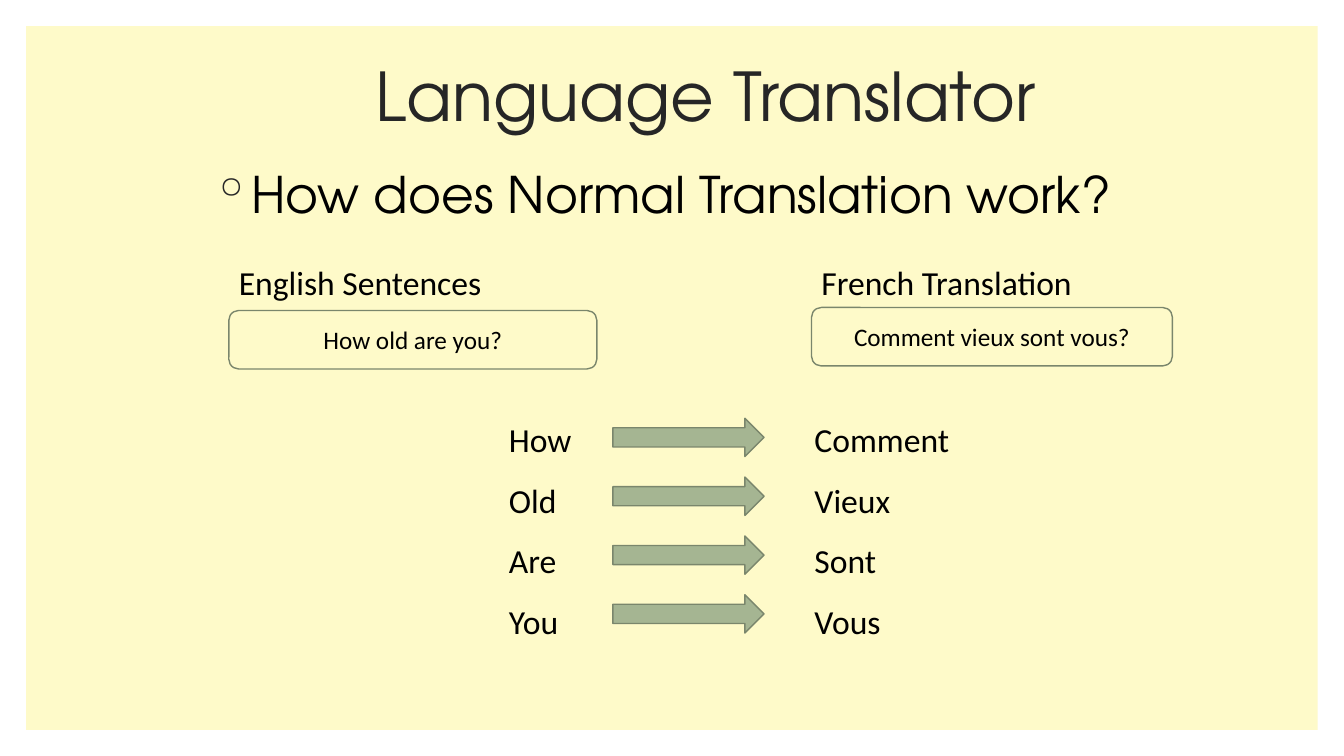
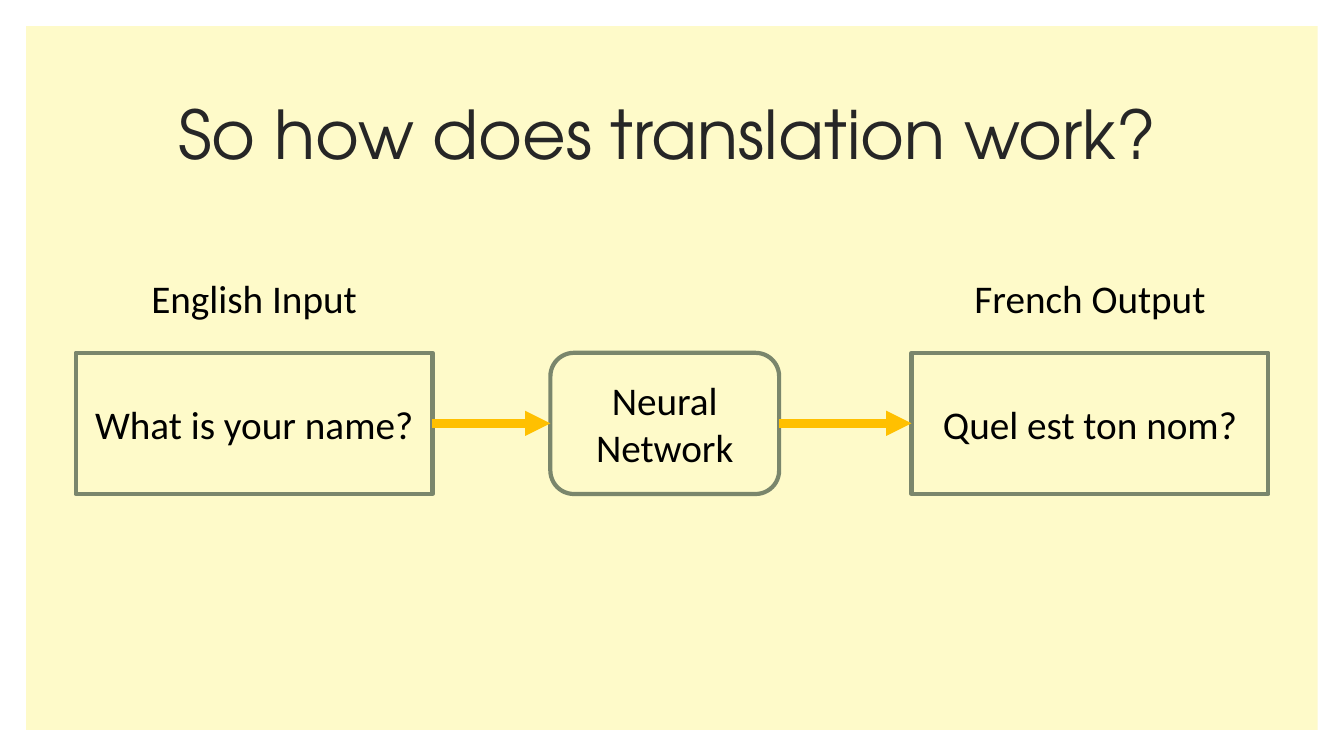
from lxml.etree import SubElement
from pptx import Presentation
from pptx.dml.color import RGBColor
from pptx.enum.shapes import MSO_CONNECTOR as Connector, MSO_SHAPE as Shape
from pptx.enum.text import MSO_ANCHOR as Anchor, PP_ALIGN as Align
from pptx.oxml.ns import qn
from pptx.util import Inches, Pt

COLOURS = {
    "panel": "FEFAC9",
    "title": "262626",
    "text": "000000",
    "sage": "A5B592",
    "outline": "7A866C",
    "flow": "FFC000",
}
FONTS = {"heading": "TeX Gyre Adventor", "body": "Calibri"}


def colour(name):
    return RGBColor.from_string(COLOURS[name])


class Deck:
    """Hold the style and the current slide; areas are percentages of its size."""

    def __init__(self):
        self.presentation = Presentation()
        self.presentation.slide_width = Inches(13.33)
        self.presentation.slide_height = Inches(7.5)
        self.slide = None

    def place(self, left, top, width, height):
        across = self.presentation.slide_width / 100
        down = self.presentation.slide_height / 100
        return [round(left * across), round(top * down), round(width * across), round(height * down)]

    def new_slide(self):
        self.slide = self.presentation.slides.add_slide(self.presentation.slide_layouts[6])
        self.box(Shape.RECTANGLE, (1.95, 3.47, 96.1, 93.07), fill="panel", line=None)

    def fill_text(self, shape, lines, size, font="body", ink="text", anchor=Anchor.TOP,
                  align=Align.LEFT, spacing=None, bullet=None, tab=None):
        frame = shape.text_frame
        frame.word_wrap = True
        frame.vertical_anchor = anchor
        for index, line in enumerate(lines):
            paragraph = frame.add_paragraph() if index else frame.paragraphs[0]
            properties = paragraph._p.get_or_add_pPr()
            if bullet:
                properties.set("marL", str(Inches(0.2)))
                properties.set("indent", str(-Inches(0.2)))
                bullet_colour = SubElement(properties, qn("a:buClr"))
                SubElement(bullet_colour, qn("a:srgbClr"), val=COLOURS["title"])
                SubElement(properties, qn("a:buChar"), char=bullet)
            if tab:
                stops = SubElement(properties, qn("a:tabLst"))
                SubElement(stops, qn("a:tab"), pos=str(Inches(tab)), algn="l")
            for name, value in {"alignment": align, "line_spacing": spacing}.items():
                setattr(paragraph, name, value)
            run = paragraph.add_run()
            run.text = line
            for name, value in {"name": FONTS[font], "size": Pt(size)}.items():
                setattr(run.font, name, value)
            run.font.color.rgb = colour(ink)

    def text(self, area, lines, size, **style):
        self.fill_text(self.slide.shapes.add_textbox(*self.place(*area)), lines, size, **style)

    def title(self, area, words, align=Align.LEFT):
        self.text(area, [words], 48, font="heading", ink="title", anchor=Anchor.MIDDLE,
                  align=align, spacing=0.9)

    def box(self, kind, area, words=None, size=18, fill=None, line="outline", weight=1):
        shape = self.slide.shapes.add_shape(kind, *self.place(*area))
        shape.shadow.inherit = False
        if fill:
            shape.fill.solid()
            shape.fill.fore_color.rgb = colour(fill)
        else:
            shape.fill.background()
        if line:
            shape.line.color.rgb = colour(line)
            shape.line.width = Pt(weight)
        else:
            shape.line.fill.background()
        if words:
            self.fill_text(shape, [words], size, anchor=Anchor.MIDDLE, align=Align.CENTER)
        return shape

    def arrow(self, source, target):
        connector = self.slide.shapes.add_connector(Connector.STRAIGHT, 0, 0, 0, 0)
        connector.begin_connect(source, 3)
        connector.end_connect(target, 1)
        connector.line.color.rgb = colour("flow")
        connector.line.width = Pt(6)
        properties = connector._element.spPr
        SubElement(properties.get_or_add_ln(), qn("a:tailEnd"), type="triangle")
        SubElement(properties, qn("a:effectLst"))


def word_by_word(deck):
    deck.new_slide()
    deck.title((15, 5.07, 75, 16.13), "Language Translator", Align.CENTER)
    deck.text((15, 20.93, 75, 10.53), ["How does Normal Translation work?"], 36,
              font="heading", bullet="◦")
    for left, top, width, label, sentence in (
        (17.03, 41.07, 27.38, "English Sentences", "How old are you?"),
        (60.38, 40.67, 26.85, "French Translation", "Comment vieux sont vous?"),
    ):
        deck.box(Shape.ROUNDED_RECTANGLE, (left, top, width, 7.73), sentence)
        deck.text((left, 34, 27.38, 6.67), [label], 24)
    pairs = [("How", "Comment"), ("Old", "Vieux"), ("Are", "Sont"), ("You", "Vous")]
    deck.text((37.13, 52.13, 42.83, 32.8), ["\t".join(pair) for pair in pairs], 24,
              spacing=1.5, tab=3.03)
    for row in range(len(pairs)):
        deck.box(Shape.RIGHT_ARROW, (45.6, 55.33 + 7.78 * row, 11.25, 5.07), fill="sage")


def neural_network(deck):
    deck.new_slide()
    deck.title((12.53, 0.8, 75, 34.8), "So how does translation work?")
    stages = []
    for kind, left, width, words, caption in (
        (Shape.RECTANGLE, 5.63, 26.55, "What is your name?", "English Input"),
        (Shape.ROUNDED_RECTANGLE, 40.95, 17.02, "Neural Network", None),
        (Shape.RECTANGLE, 67.82, 26.55, "Quel est ton nom?", "French Output"),
    ):
        stages.append(deck.box(kind, (left, 46.67, width, 18.67), words, size=28, weight=3))
        if caption:
            deck.text((left, 35.6, width, 7.6), [caption], 28, align=Align.CENTER)
    for source, target in zip(stages, stages[1:]):
        deck.arrow(source, target)


def main():
    deck = Deck()
    word_by_word(deck)
    neural_network(deck)
    deck.presentation.save("out.pptx")


if __name__ == "__main__":
    main()
